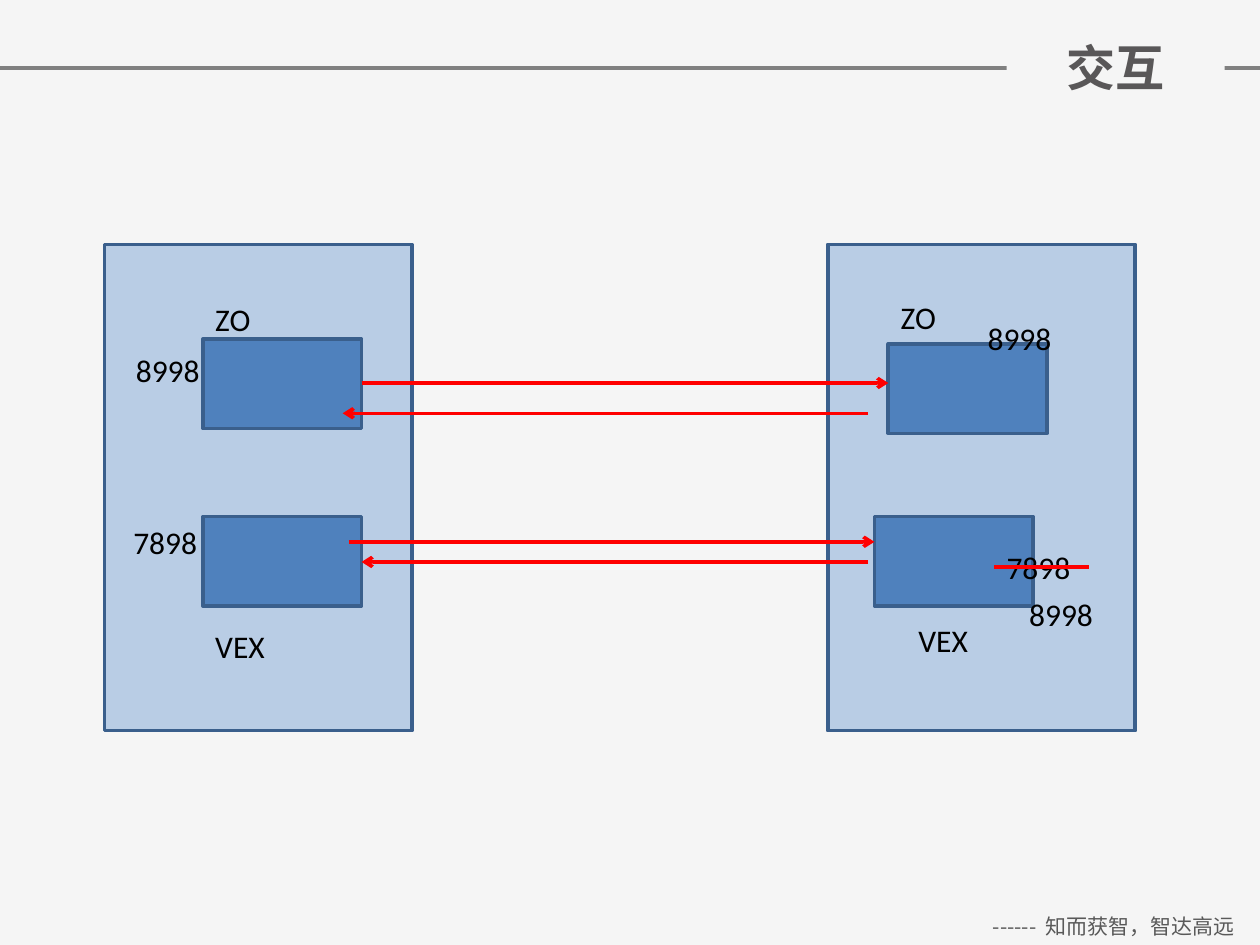
"""Build a slide showing how applications on two hosts exchange messages by port."""
from dataclasses import dataclass

from lxml.etree import SubElement
from pptx import Presentation
from pptx.dml.color import RGBColor
from pptx.enum.shapes import MSO_CONNECTOR, MSO_SHAPE
from pptx.enum.text import MSO_ANCHOR, PP_ALIGN
from pptx.oxml.ns import qn
from pptx.slide import Slide
from pptx.util import Inches, Pt

WIDTH, HEIGHT = Inches(10), Inches(7.5)
COLUMN, ROW = WIDTH / 100, HEIGHT / 75

BACKGROUND = RGBColor(0xF5, 0xF5, 0xF5)
RULE = RGBColor(0x80, 0x80, 0x80)
PANEL = RGBColor(0xB9, 0xCD, 0xE5)
APPLICATION = RGBColor(0x4F, 0x81, 0xBD)
OUTLINE = RGBColor(0x3A, 0x5F, 0x8C)
RED = RGBColor(0xFF, 0x00, 0x00)
BLACK = RGBColor(0x00, 0x00, 0x00)
FOOTER_GREY = RGBColor(0x59, 0x59, 0x59)
TITLE_GREY = RGBColor(0x59, 0x57, 0x58)

CHINESE = "Noto Sans CJK SC"
LABEL_FONT = {"name": "Calibri", "size": Pt(18), "bold": False}
FOOTER_FONT = {"name": CHINESE, "size": Pt(12), "bold": False}
TITLE_FONT = {"name": CHINESE, "size": Pt(28), "bold": True}


@dataclass(frozen=True)
class Area:
    """A rectangle in grid columns and rows."""

    left: float
    top: float
    width: float
    height: float

    def lengths(self) -> tuple[int, int, int, int]:
        """Return the rectangle in slide units."""
        return (round(self.left * COLUMN), round(self.top * ROW),
                round(self.width * COLUMN), round(self.height * ROW))


@dataclass(frozen=True)
class Label:
    """A word or port number beside an application."""

    words: str
    left: float
    top: float
    width: float


@dataclass(frozen=True)
class Link:
    """A horizontal line from one column to another."""

    start: float
    end: float
    row: float
    color: RGBColor = RED
    arrow: bool = True


TITLE_AREA = Area(79.9, 2.5, 17.3, 5.7)
FOOTER_AREA = Area(76.8, 72, 23.2, 3)
LABEL_HEIGHT = 4
HOSTS = [Area(left, 19.4, 24.4, 38.6) for left in (8.3, 65.7)]
APPLICATIONS = [
    Area(left, top, 12.6, 7.1)
    for left, top in ((16.1, 26.9), (70.5, 27.3), (16.1, 41), (69.4, 41))
]
LABELS = [
    Label("ZO", 16.1, 23.3, 10.2),
    Label("ZO", 70.5, 23.2, 10.2),
    Label("8998", 9.8, 27.4, 11.4),
    Label("8998", 77.4, 24.8, 11.4),
    Label("VEX", 16.1, 49.3, 11),
    Label("VEX", 71.9, 48.8, 11),
    Label("7898", 9.6, 41, 11.4),
    Label("7898", 78.9, 43, 11.4),
    Label("8998", 80.7, 46.7, 11.4),
]
HEADER_RULE = Link(0, 100, 5.4, RULE, arrow=False)
LINKS = [
    Link(28.7, 70.5, 30.4),
    Link(68.9, 27.2, 32.8),
    Link(27.7, 69.4, 43),
    Link(68.9, 28.7, 44.6),
    Link(78.9, 86.4, 45, arrow=False),
]


def add_block(page: Slide, area: Area, color: RGBColor) -> None:
    """Draw an outlined rectangle."""
    block = page.shapes.add_shape(MSO_SHAPE.RECTANGLE, *area.lengths())
    block.shadow.inherit = False
    block.fill.solid()
    block.fill.fore_color.rgb = color
    block.line.color.rgb = OUTLINE
    block.line.width = Pt(2)


def add_link(page: Slide, link: Link) -> None:
    """Draw a horizontal line, with an arrowhead at its end if wanted."""
    height = round(link.row * ROW)
    line = page.shapes.add_connector(
        MSO_CONNECTOR.STRAIGHT, round(link.start * COLUMN), height,
        round(link.end * COLUMN), height)
    line.line.color.rgb = link.color
    line.line.width = Pt(2)
    if link.arrow:
        SubElement(line.line._get_or_add_ln(), qn("a:tailEnd"), type="arrow")
    SubElement(line._element.spPr, qn("a:effectLst"))


def add_text(page: Slide, words: str, area: Area, font: dict, color: RGBColor,
             align: PP_ALIGN = PP_ALIGN.LEFT,
             anchor: MSO_ANCHOR = MSO_ANCHOR.TOP,
             fill: RGBColor | None = None) -> None:
    """Write one paragraph in a text box."""
    box = page.shapes.add_textbox(*area.lengths())
    if fill is not None:
        box.fill.solid()
        box.fill.fore_color.rgb = fill
    box.text_frame.word_wrap = True
    box.text_frame.vertical_anchor = anchor
    para = box.text_frame.paragraphs[0]
    para.alignment = align
    span = para.add_run()
    span.text = words
    for name, value in font.items():
        setattr(span.font, name, value)
    span.font.color.rgb = color
    SubElement(span.font._element, qn("a:ea"), typeface=font["name"])


def main() -> None:
    """Build and save the deck."""
    deck = Presentation()
    deck.slide_width, deck.slide_height = WIDTH, HEIGHT
    page = deck.slides.add_slide(deck.slide_layouts[6])
    page.background.fill.solid()
    page.background.fill.fore_color.rgb = BACKGROUND

    add_link(page, HEADER_RULE)
    add_text(page, "------  知而获智，智达高远", FOOTER_AREA, FOOTER_FONT,
             FOOTER_GREY, PP_ALIGN.CENTER)
    for host in HOSTS:
        add_block(page, host, PANEL)
    for application in APPLICATIONS:
        add_block(page, application, APPLICATION)
    for label in LABELS:
        area = Area(label.left, label.top, label.width, LABEL_HEIGHT)
        add_text(page, label.words, area, LABEL_FONT, BLACK)
    for link in LINKS:
        add_link(page, link)
    add_text(page, "交互", TITLE_AREA, TITLE_FONT, TITLE_GREY,
             PP_ALIGN.CENTER, MSO_ANCHOR.MIDDLE, BACKGROUND)
    deck.save("out.pptx")


if __name__ == "__main__":
    main()
